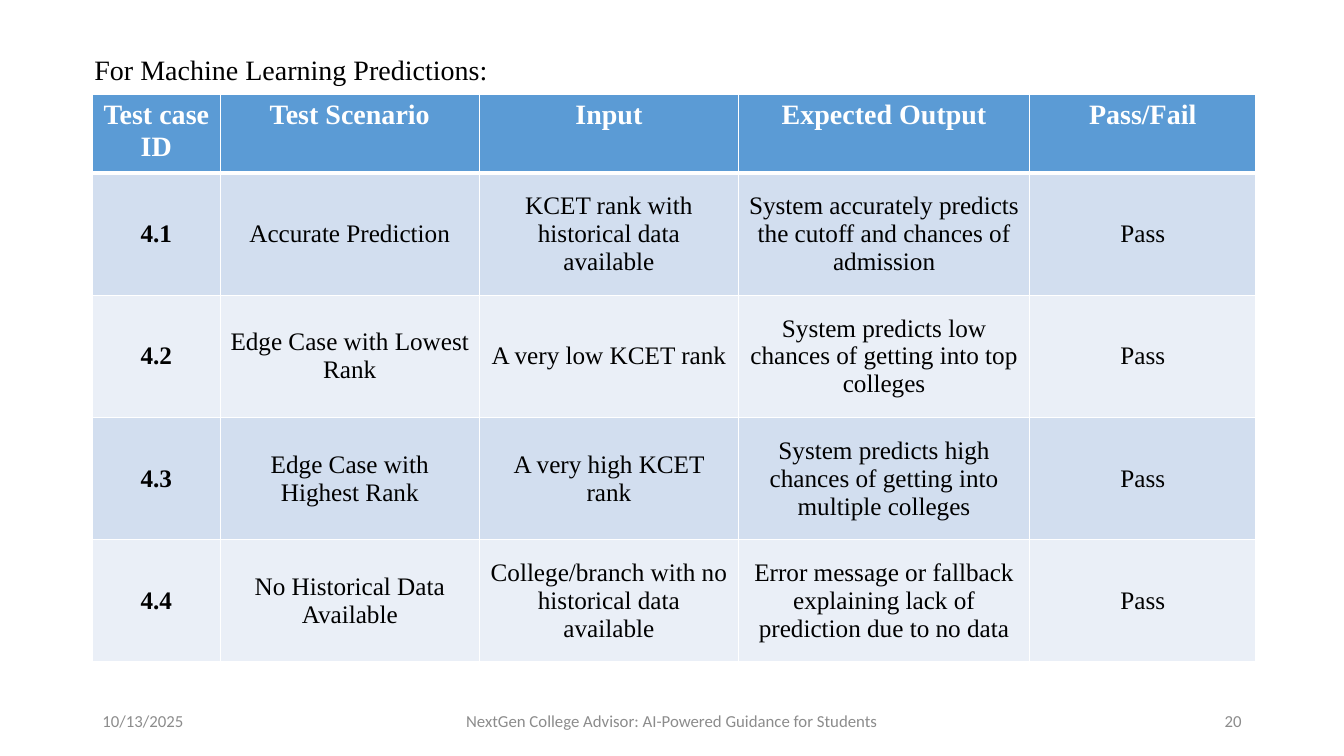
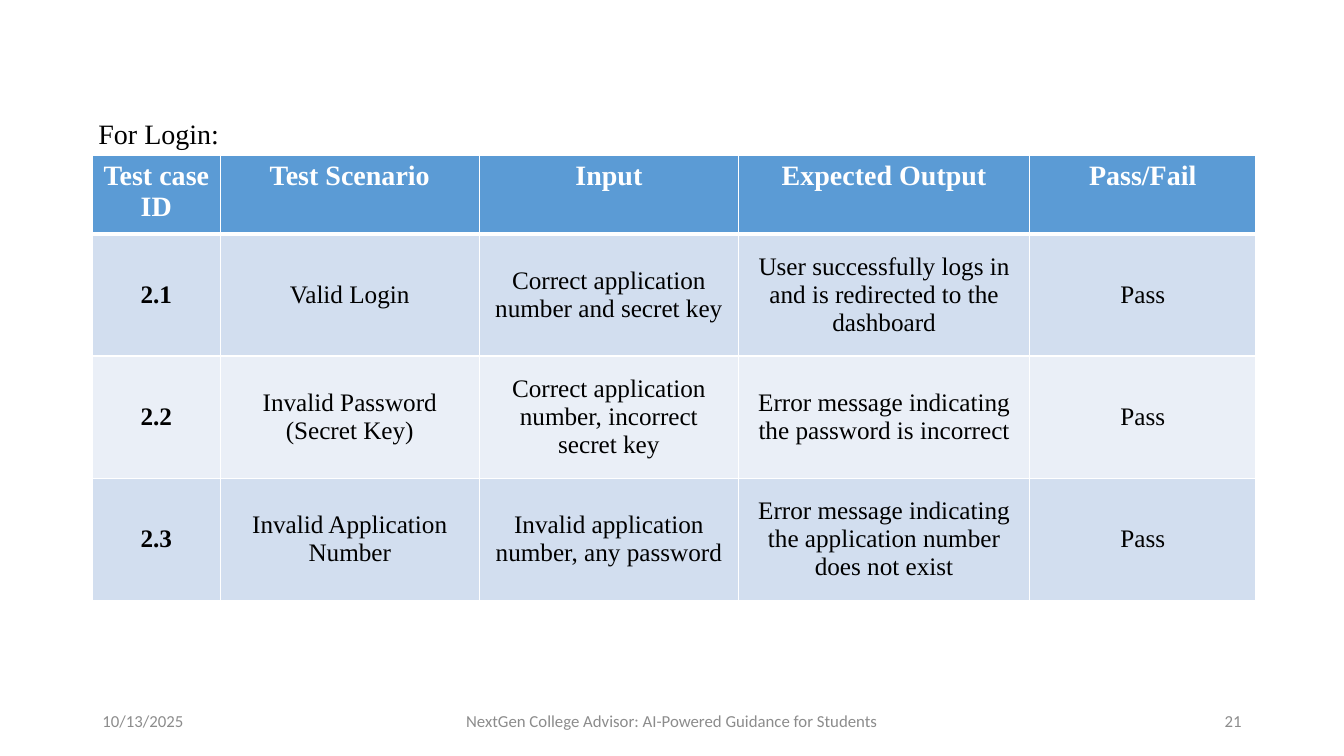
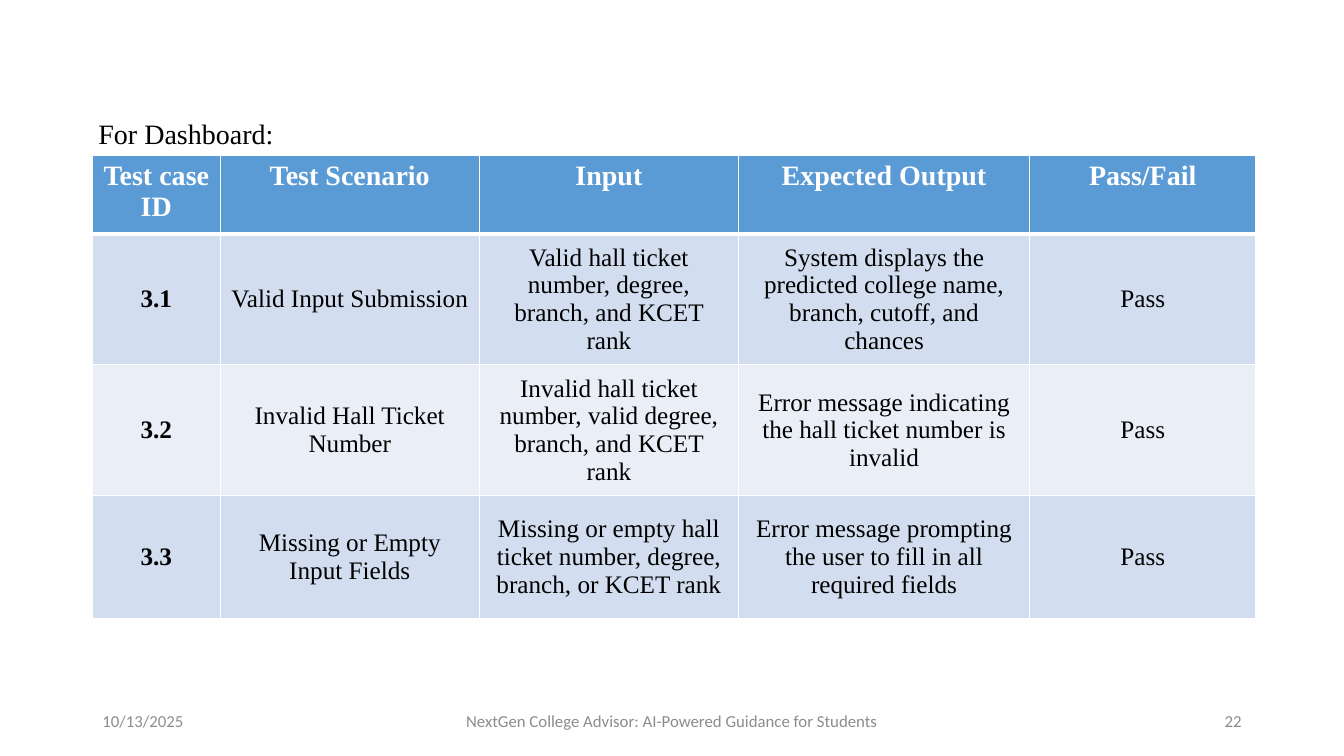
from dataclasses import dataclass

from lxml.etree import SubElement
from pptx import Presentation
from pptx.dml.color import RGBColor
from pptx.enum.text import MSO_ANCHOR as Anchor, MSO_AUTO_SIZE as AutoSize, PP_ALIGN as Align
from pptx.oxml.ns import qn
from pptx.slide import Slide
from pptx.table import _Cell as Cell
from pptx.text.text import _Paragraph as Paragraph
from pptx.util import Cm, Pt

BLACK = RGBColor(0x00, 0x00, 0x00)
WHITE = RGBColor(0xFF, 0xFF, 0xFF)
GRAY = RGBColor(0x8C, 0x8C, 0x8C)
HEADER_BLUE = RGBColor(0x5B, 0x9B, 0xD5)
BAND_DARK = RGBColor(0xD2, 0xDE, 0xEF)
BAND_LIGHT = RGBColor(0xEA, 0xEF, 0xF7)

SERIF = "Times New Roman"
SANS = "Calibri"

HEADINGS = ("Test case ID", "Test Scenario", "Input", "Expected Output", "Pass/Fail")
COLUMN_WIDTHS = (3.22, 6.53, 6.53, 7.34, 5.7)
TABLE_LEFT = 2.33
HEADER_HEIGHT = 1.97
ROW_HEIGHT = 3.08
TALL_ROW_HEIGHT = 3.29
THIN_BORDER = Pt(1)
THICK_BORDER = Pt(3)

DATE = "10/13/2025"
FOOTER = "NextGen College Advisor: AI-Powered Guidance for Students"
FIRST_PAGE = 20


@dataclass(frozen=True)
class Box:
    left: float
    top: float
    width: float
    height: float


@dataclass(frozen=True)
class TextStyle:
    font: str
    size: int
    color: RGBColor
    bold: bool = False
    align: Align = Align.LEFT
    anchor: Anchor = Anchor.TOP


@dataclass(frozen=True)
class TestCase:
    number: str
    scenario: str
    given: str
    expected: str
    height: float = ROW_HEIGHT
    result: str = "Pass"


@dataclass(frozen=True)
class TestPage:
    caption: str
    caption_box: Box
    table_top: float
    cases: tuple[TestCase, ...]


CAPTION = TextStyle(SERIF, 20, BLACK)
HEADING = TextStyle(SERIF, 20, WHITE, bold=True, align=Align.CENTER)
CASE_NUMBER = TextStyle(SERIF, 18, BLACK, bold=True, align=Align.CENTER, anchor=Anchor.MIDDLE)
CASE_TEXT = TextStyle(SERIF, 18, BLACK, align=Align.CENTER, anchor=Anchor.MIDDLE)

FOOTER_TOP = 17.65
FOOTER_HEIGHT = 1.02
DATE_BOX = Box(2.33, FOOTER_TOP, 7.62, FOOTER_HEIGHT)
FOOTER_BOX = Box(11.22, FOOTER_TOP, 11.43, FOOTER_HEIGHT)
NUMBER_BOX = Box(23.92, FOOTER_TOP, 7.62, FOOTER_HEIGHT)

PAGES = (
    TestPage("For Machine Learning Predictions:", Box(2.13, 1.19, 12.09, 1.11), 2.39, (
        TestCase("4.1", "Accurate Prediction", "KCET rank with historical data available",
                 "System accurately predicts the cutoff and chances of admission"),
        TestCase("4.2", "Edge Case with Lowest Rank", "A very low KCET rank",
                 "System predicts low chances of getting into top colleges"),
        TestCase("4.3", "Edge Case with Highest Rank", "A very high KCET rank",
                 "System predicts high chances of getting into multiple colleges"),
        TestCase("4.4", "No Historical Data Available",
                 "College/branch with no historical data available",
                 "Error message or fallback explaining lack of prediction due to no data"),
    )),
    TestPage("For Login:", Box(2.23, 2.82, 7.29, 1.11), 3.92, (
        TestCase("2.1", "Valid Login", "Correct application number and secret key",
                 "User successfully logs in and is redirected to the dashboard"),
        TestCase("2.2", "Invalid Password (Secret Key)",
                 "Correct application number, incorrect secret key",
                 "Error message indicating the password is incorrect"),
        TestCase("2.3", "Invalid Application Number", "Invalid application number, any password",
                 "Error message indicating the application number does not exist"),
    )),
    TestPage("For Dashboard:", Box(2.23, 2.82, 8.23, 1.11), 3.92, (
        TestCase("3.1", "Valid Input Submission",
                 "Valid hall ticket number, degree, branch, and KCET rank",
                 "System displays the predicted college name, branch, cutoff, and chances",
                 TALL_ROW_HEIGHT),
        TestCase("3.2", "Invalid Hall Ticket Number",
                 "Invalid hall ticket number, valid degree, branch, and KCET rank",
                 "Error message indicating the hall ticket number is invalid",
                 TALL_ROW_HEIGHT),
        TestCase("3.3", "Missing or Empty Input Fields",
                 "Missing or empty hall ticket number, degree, branch, or KCET rank",
                 "Error message prompting the user to fill in all required fields"),
    )),
)


def write(paragraph: Paragraph, text: str, style: TextStyle) -> None:
    paragraph.text = text
    paragraph.alignment = style.align
    font = paragraph.font
    font.name = style.font
    font.size = Pt(style.size)
    font.bold = style.bold
    font.color.rgb = style.color


def add_text(slide: Slide, box: Box, text: str, style: TextStyle,
             auto_size: AutoSize = AutoSize.NONE) -> None:
    shape = slide.shapes.add_textbox(Cm(box.left), Cm(box.top), Cm(box.width), Cm(box.height))
    frame = shape.text_frame
    frame.word_wrap = True
    frame.auto_size = auto_size
    frame.vertical_anchor = style.anchor
    write(frame.paragraphs[0], text, style)


def add_borders(cell: Cell, top: int, bottom: int) -> None:
    properties = cell._tc.get_or_add_tcPr()
    widths = {"a:lnL": THIN_BORDER, "a:lnR": THIN_BORDER, "a:lnT": top, "a:lnB": bottom}
    for tag, width in widths.items():
        line = SubElement(properties, qn(tag), w=str(width))
        fill = SubElement(line, qn("a:solidFill"))
        SubElement(fill, qn("a:srgbClr"), val=str(WHITE))


def fill_cell(cell: Cell, text: str, style: TextStyle, color: RGBColor,
              top: int = THIN_BORDER, bottom: int = THIN_BORDER) -> None:
    add_borders(cell, top, bottom)
    cell.fill.solid()
    cell.fill.fore_color.rgb = color
    cell.vertical_anchor = style.anchor
    write(cell.text_frame.paragraphs[0], text, style)


def add_test_table(slide: Slide, top: float, cases: tuple[TestCase, ...]) -> None:
    heights = [HEADER_HEIGHT, *(case.height for case in cases)]
    table = slide.shapes.add_table(
        len(heights), len(HEADINGS), Cm(TABLE_LEFT), Cm(top),
        Cm(sum(COLUMN_WIDTHS)), Cm(sum(heights))).table
    table.horz_banding = False
    for column, width in zip(table.columns, COLUMN_WIDTHS):
        column.width = Cm(width)
    for row, height in zip(table.rows, heights):
        row.height = Cm(height)

    for column, heading in enumerate(HEADINGS):
        fill_cell(table.cell(0, column), heading, HEADING, HEADER_BLUE, bottom=THICK_BORDER)
    for row, case in enumerate(cases, start=1):
        color = BAND_DARK if row % 2 else BAND_LIGHT
        top_border = THICK_BORDER if row == 1 else THIN_BORDER
        values = (case.number, case.scenario, case.given, case.expected, case.result)
        for column, value in enumerate(values):
            style = CASE_TEXT if column else CASE_NUMBER
            fill_cell(table.cell(row, column), value, style, color, top=top_border)


def add_footer(slide: Slide, number: int) -> None:
    for box, text, align in (
        (DATE_BOX, DATE, Align.LEFT),
        (FOOTER_BOX, FOOTER, Align.CENTER),
        (NUMBER_BOX, str(number), Align.RIGHT),
    ):
        add_text(slide, box, text, TextStyle(SANS, 12, GRAY, align=align, anchor=Anchor.MIDDLE))


def main() -> None:
    presentation = Presentation()
    presentation.slide_width = Cm(33.87)
    presentation.slide_height = Cm(19.05)
    blank = presentation.slide_layouts[6]
    for number, page in enumerate(PAGES, start=FIRST_PAGE):
        slide = presentation.slides.add_slide(blank)
        add_footer(slide, number)
        add_test_table(slide, page.table_top, page.cases)
        add_text(slide, page.caption_box, page.caption, CAPTION, AutoSize.SHAPE_TO_FIT_TEXT)
    presentation.save("out.pptx")


if __name__ == "__main__":
    main()
